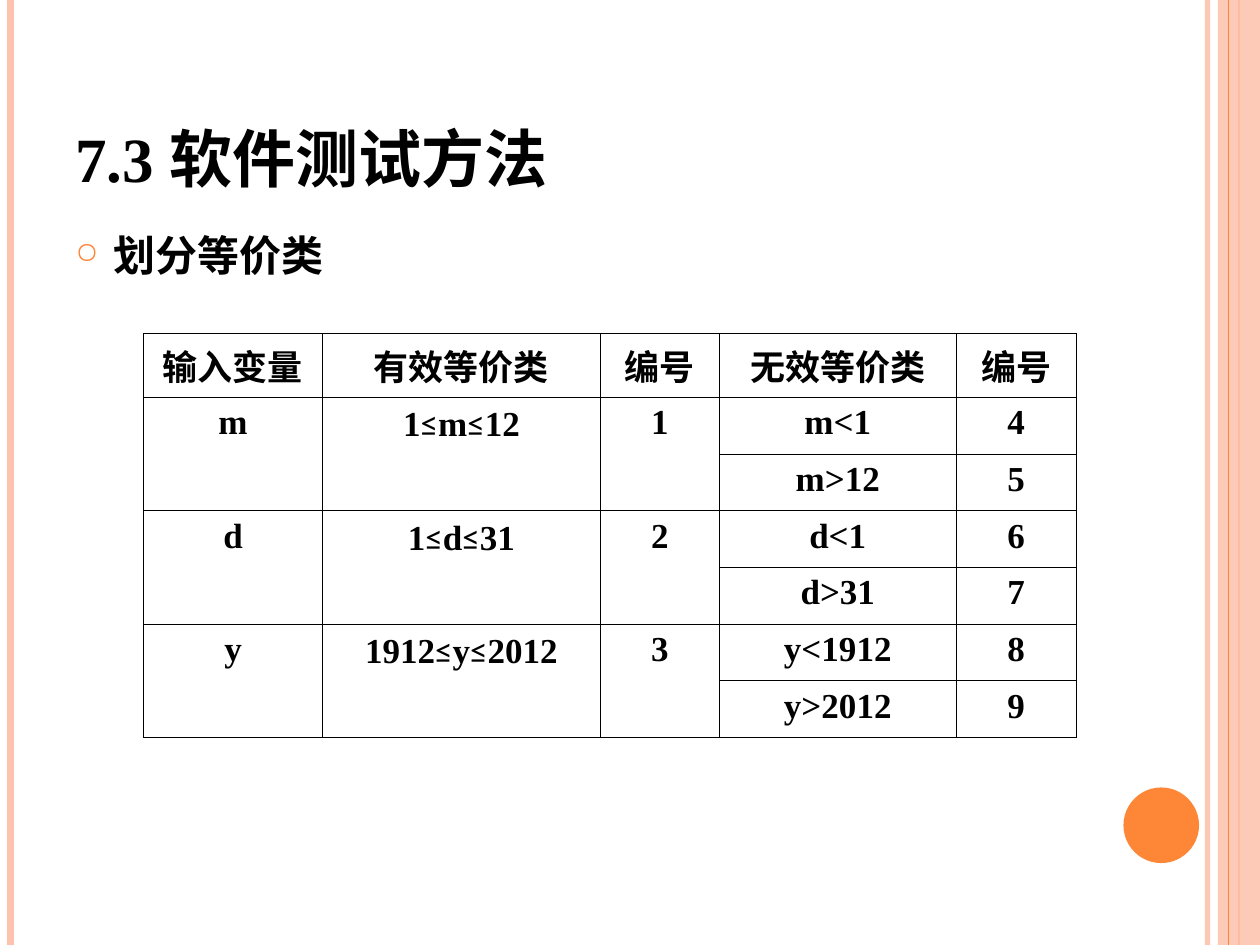
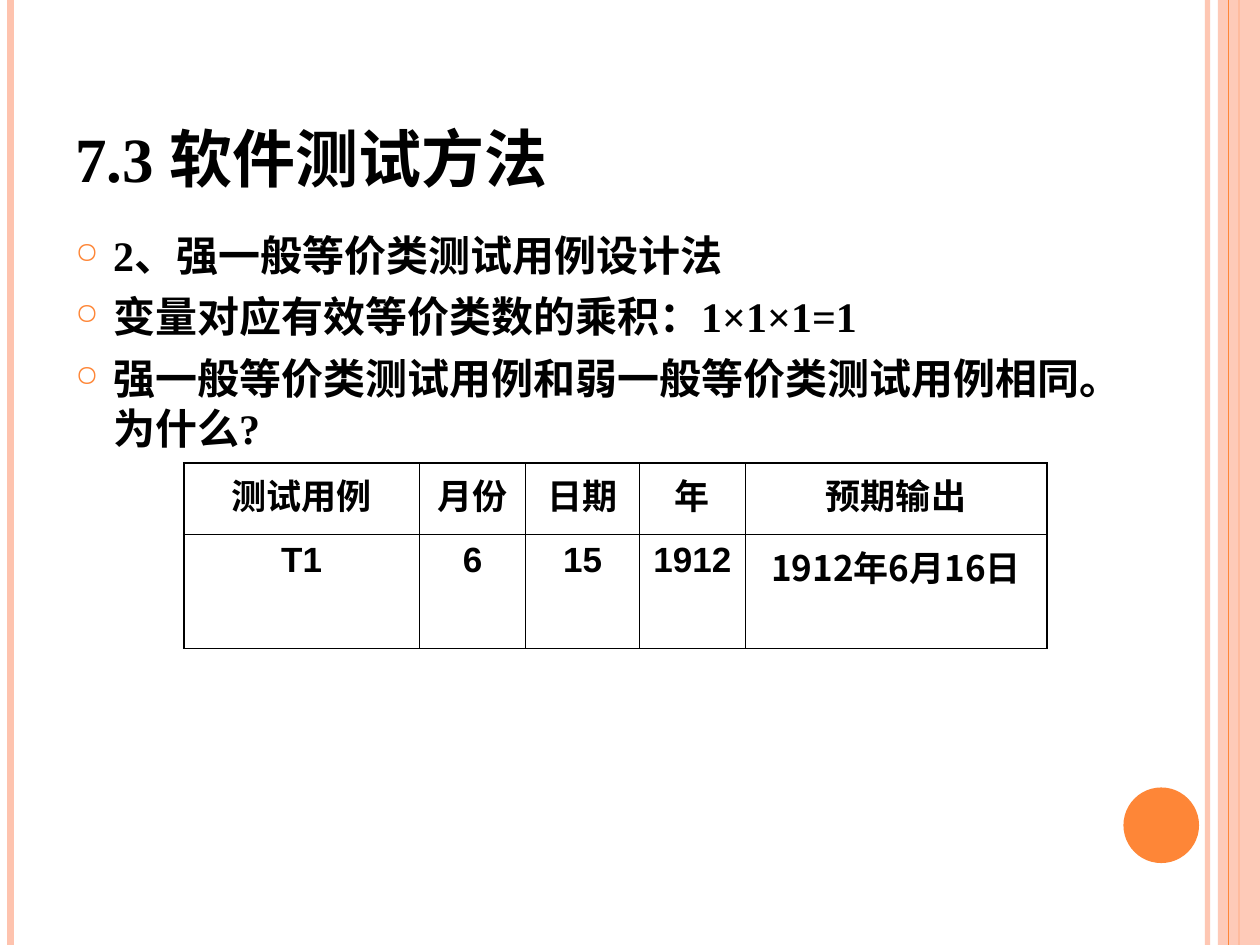
from pptx import Presentation
from pptx.dml.color import RGBColor as RGB
from pptx.enum.shapes import MSO_CONNECTOR as Wire, MSO_SHAPE as Kind
from pptx.enum.text import MSO_ANCHOR as Anchor, PP_ALIGN as Align
from pptx.oxml.ns import qn
from pptx.util import Pt
from lxml.etree import SubElement as Sub

BLACK = RGB(0x00, 0x00, 0x00)
WHITE = RGB(0xFF, 0xFF, 0xFF)
ORANGE = RGB(0xFE, 0x86, 0x37)
PEACH = RGB(0xFE, 0xC3, 0xAE)
SERIF, SANS, MATH, HAN = "Times New Roman", "Arial", "Calibri", "Noto Sans CJK SC"
WIDE, HIGH = 720, 540
TITLE = "7.3 软件测试方法"


def put(para, text, size=20, face=SERIF, color=BLACK, align=None, lead=None, gap=None):
    """Write text into a paragraph, with its signs in the maths font."""
    para.alignment = align
    if lead:
        para.line_spacing = Pt(lead)
    if gap:
        para.space_before = Pt(gap)
    for bit in text.replace("≤", "|≤|").split("|"):
        sign = bit == "≤"
        run = para.add_run()
        run.text = bit
        font = run.font
        font.size, font.bold = Pt(size), not sign
        font.name = MATH if sign else face
        font.color.rgb = color
        Sub(run._r.get_or_add_rPr(), qn("a:ea"), typeface=HAN)


def fade(node, rate):
    """Make the solid colour under a node partly clear."""
    tint = next(node.iter(qn("a:srgbClr")))
    Sub(tint, qn("a:alpha"), val=str(rate * 1000))


def edge(cell, side, width):
    """Draw one border of a table cell."""
    line = Sub(cell._tc.get_or_add_tcPr(), qn(f"a:{side}"), w=str(Pt(width)))
    Sub(Sub(line, qn("a:solidFill")), qn("a:srgbClr"), val=str(BLACK))


class Deck:
    """Hold the shared style and the current slide."""

    def __init__(self):
        """Start an empty deck."""
        self.show = Presentation()
        self.show.slide_width, self.show.slide_height = Pt(WIDE), Pt(HIGH)

    def page(self, title, points):
        """Add a slide with its bands, title and bullet points."""
        self.items = self.show.slides.add_slide(self.show.slide_layouts[6]).shapes
        self.rule(690, PEACH, 3, 93)
        self.rule(6, PEACH, 4.5)
        self.rule(708, ORANGE, 1.5)
        self.block(Kind.RECTANGLE, 696, 0, 24, HIGH, PEACH, 87)
        self.rule(702, ORANGE, 0.75)
        self.block(Kind.OVAL, 642, 450, 43.2, 43.2, ORANGE)
        head = self.box(36, 21.6, 588, 90)
        head.vertical_anchor, head.margin_bottom = Anchor.BOTTOM, 0
        put(head.paragraphs[0], title, size=36)
        self.points(points)

    def rule(self, x, color, width, rate=None):
        """Draw a line down the whole slide."""
        wire = self.items.add_connector(Wire.STRAIGHT, Pt(x), 0, Pt(x), Pt(HIGH))
        wire.line.color.rgb, wire.line.width = color, Pt(width)
        props = wire._element.spPr
        if rate:
            fade(props, rate)
        Sub(props, qn("a:effectLst"))

    def block(self, kind, x, y, w, h, color, rate=None):
        """Draw a filled shape with no outline."""
        shape = self.items.add_shape(kind, Pt(x), Pt(y), Pt(w), Pt(h))
        shape.shadow.inherit = False
        shape.fill.solid()
        shape.fill.fore_color.rgb = color
        shape.line.fill.background()
        if rate:
            fade(shape._element.spPr, rate)

    def box(self, x, y, w, h):
        """Add a wrapping text box and return its frame."""
        frame = self.items.add_textbox(Pt(x), Pt(y), Pt(w), Pt(h)).text_frame
        frame.word_wrap = True
        return frame

    def points(self, texts):
        """Add the list of ring bullets."""
        frame = self.box(36, 126, 588, 384)
        frame.margin_top = Pt(5)
        for i, text in enumerate(texts):
            para = frame.add_paragraph() if i else frame.paragraphs[0]
            props = para._p.get_or_add_pPr()
            props.set("marL", str(Pt(21.6)))
            props.set("indent", str(-Pt(21.6)))
            Sub(Sub(props, qn("a:buClr")), qn("a:srgbClr"), val=str(ORANGE))
            Sub(props, qn("a:buSzPct"), val="70000")
            Sub(props, qn("a:buChar"), char="○")
            put(para, text, size=24, lead=29, gap=6 if i else None)

    def table(self, x, y, cols, rows, data, rim=0.45, face=None):
        """Add a bordered table; None joins a cell to the one above."""
        face = face or (lambda text: SERIF)
        grid = self.items.add_table(len(rows), len(cols), Pt(x), Pt(y),
                                    Pt(sum(cols)), Pt(sum(rows))).table
        grid.first_row = grid.horz_banding = False
        for col, w in zip(grid.columns, cols):
            col.width = Pt(w)
        for row, h in zip(grid.rows, rows):
            row.height = Pt(h)
        for r, line in enumerate(data):
            for c, text in enumerate(line):
                cell = grid.cell(r, c)
                outer = {"lnL": c == 0, "lnR": c == len(cols) - 1,
                         "lnT": r == 0, "lnB": r == len(rows) - 1}
                for side, rimmed in outer.items():
                    edge(cell, side, rim if rimmed else 0.45)
                cell.fill.solid()
                cell.fill.fore_color.rgb = WHITE
                if text is None:
                    grid.cell(r - 1, c).merge(cell)
                else:
                    put(cell.text_frame.paragraphs[0], text,
                        face=face(text), align=Align.CENTER)


def main():
    """Build both slides and save them."""
    deck = Deck()

    deck.page(TITLE, ["划分等价类"])
    data = [["输入变量", "有效等价类", "编号", "无效等价类", "编号"]]
    ranges = [("m", 1, 12), ("d", 1, 31), ("y", 1912, 2012)]
    for i, (name, low, top) in enumerate(ranges):
        data += [[name, f"{low}≤{name}≤{top}", str(i + 1), f"{name}<{low}", str(2 * i + 4)],
                 [None, None, None, f"{name}>{top}", str(2 * i + 5)]]
    deck.table(82, 190.5, [102.3, 158.8, 68, 135.4, 68.5], [36.5] + [32.4] * 6, data)

    deck.page(TITLE, ["2、强一般等价类测试用例设计法",
                      "变量对应有效等价类数的乘积：1×1×1=1",
                      "强一般等价类测试用例和弱一般等价类测试用例相同。为什么?"])
    data = [["测试用例", "月份", "日期", "年", "预期输出"],
            ["T1", "6", "15", "1912", "1912年6月16日"]]
    deck.table(105, 264.5, [134.8, 60.6, 65, 60.6, 172.2], [41, 65], data, rim=1.08,
               face=lambda text: SANS if text.isascii() else HAN)

    deck.show.save("out.pptx")


if __name__ == "__main__":
    main()
